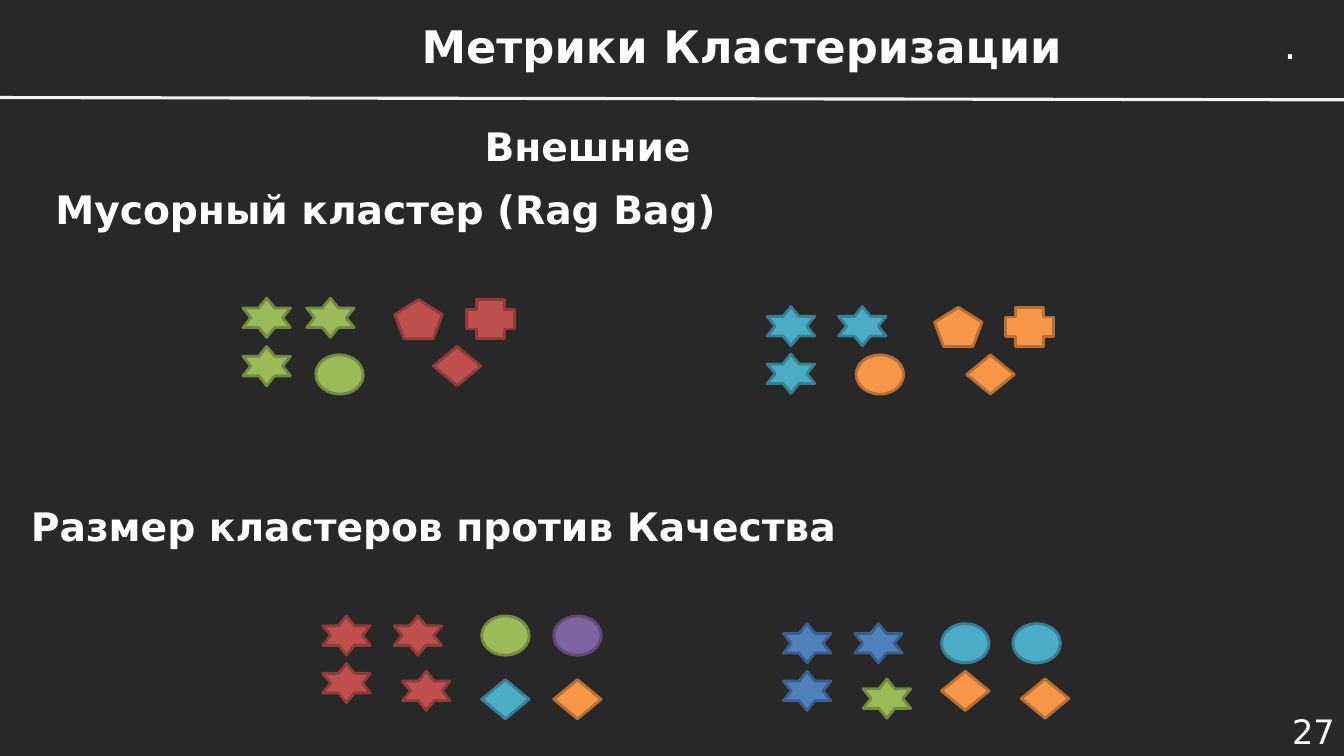
"""Build the slide on external clustering metrics."""
from lxml import etree
from pptx import Presentation
from pptx.dml.color import RGBColor as RGB
from pptx.enum.shapes import MSO_CONNECTOR as LINE, MSO_SHAPE as SHAPE
from pptx.enum.text import MSO_ANCHOR as ANCHOR, PP_ALIGN as ALIGN
from pptx.oxml.ns import qn
from pptx.util import Pt

COLORS = {
    "back": "272827", "text": "FFFFFF", "rule": "F2F2F2",
    "green": "9BBB59", "red": "C0504D", "teal": "4BACC6",
    "orange": "F79646", "purple": "8064A2", "blue": "4F81BD",
}
EDGES = {
    "green": "738A42", "red": "8E3B39", "teal": "377F92",
    "orange": "B76F34", "purple": "5F4A78", "blue": "3A5F8C",
}
FORMS = {
    "star": SHAPE.STAR_6_POINT, "oval": SHAPE.OVAL, "cross": SHAPE.CROSS,
    "penta": SHAPE.REGULAR_PENTAGON, "rhomb": SHAPE.FLOWCHART_DECISION,
}

deck = Presentation()
deck.slide_width, deck.slide_height = Pt(960), Pt(540)
slide = deck.slides.add_slide(deck.slide_layouts[6])
slide.background.fill.solid()
slide.background.fill.fore_color.rgb = RGB.from_string(COLORS["back"])


def add_text(text, box, size=28, bold=True, align=ALIGN.LEFT,
             anchor=ANCHOR.TOP, wrap=True):
    frame = slide.shapes.add_textbox(*map(Pt, box)).text_frame
    frame.word_wrap = wrap
    frame.vertical_anchor = anchor
    frame.text = text
    para = frame.paragraphs[0]
    para.alignment = align
    font = para.runs[0].font
    font.name, font.size, font.bold = "DejaVu Sans", Pt(size), bold
    font.color.rgb = RGB.from_string(COLORS["text"])


add_text("Метрики Кластеризации", (247.5, 13.5, 565, 38), 32,
         align=ALIGN.CENTER, anchor=ANCHOR.MIDDLE)
add_text(".", (910, 11, 24.5, 41), bold=False, wrap=False)
add_text("Внешние", (339, 83.5, 234, 41))
add_text("Мусорный кластер (Rag Bag)", (32.5, 129, 947, 41))
add_text("Размер кластеров против Качества", (15, 355, 929.5, 41))
add_text("27", (885, 507.5, 75.5, 30), 24, False, ALIGN.RIGHT, ANCHOR.MIDDLE)

rule = slide.shapes.add_connector(LINE.STRAIGHT, Pt(0), Pt(69.7), Pt(960), Pt(71.3))
rule.line.color.rgb = RGB.from_string(COLORS["rule"])
rule.line.width = Pt(2.25)
etree.SubElement(rule._element.spPr, qn("a:effectLst"))

groups = [
    (173.5, 213, [
        ("star", "green", 0, 0), ("star", "green", 0, 34.5),
        ("star", "green", 45.5, 0), ("penta", "red", 108.5, 1),
        ("oval", "green", 52, 40.5), ("rhomb", "red", 136, 34.5),
        ("cross", "red", 160, 1)]),
    (548, 219, [
        ("star", "teal", 0, 0), ("star", "teal", 0, 34),
        ("oval", "orange", 63.5, 34.5), ("star", "teal", 51, 0),
        ("penta", "orange", 119.5, 0.5), ("rhomb", "orange", 142.5, 34.5),
        ("cross", "orange", 170.5, 0.5)]),
    (230.5, 440, [
        ("star", "red", 0, 0), ("star", "red", 0, 34),
        ("star", "red", 57, 39.5), ("star", "red", 51, 0),
        ("oval", "green", 113.5, 0), ("rhomb", "teal", 113.5, 45.5),
        ("rhomb", "orange", 165, 45.5), ("oval", "purple", 165, 0)]),
    (559.5, 445.5, [
        ("star", "blue", 0, 0), ("star", "blue", 0, 34),
        ("star", "green", 57, 39.5), ("star", "blue", 51, 0),
        ("oval", "teal", 113, 0), ("rhomb", "orange", 113, 34),
        ("rhomb", "orange", 170, 39.5), ("oval", "teal", 164, 0)]),
]
for left, top, items in groups:
    for form, hue, x, y in items:
        item = slide.shapes.add_shape(
            FORMS[form], Pt(left + x), Pt(top + y), Pt(34), Pt(28))
        item.shadow.inherit = False
        item.fill.solid()
        item.fill.fore_color.rgb = RGB.from_string(COLORS[hue])
        item.line.color.rgb = RGB.from_string(EDGES[hue])
        item.line.width = Pt(2)
        if (form, hue, left) == ("oval", "green", 173.5):
            item.rotation = 2.5

deck.save("out.pptx")
